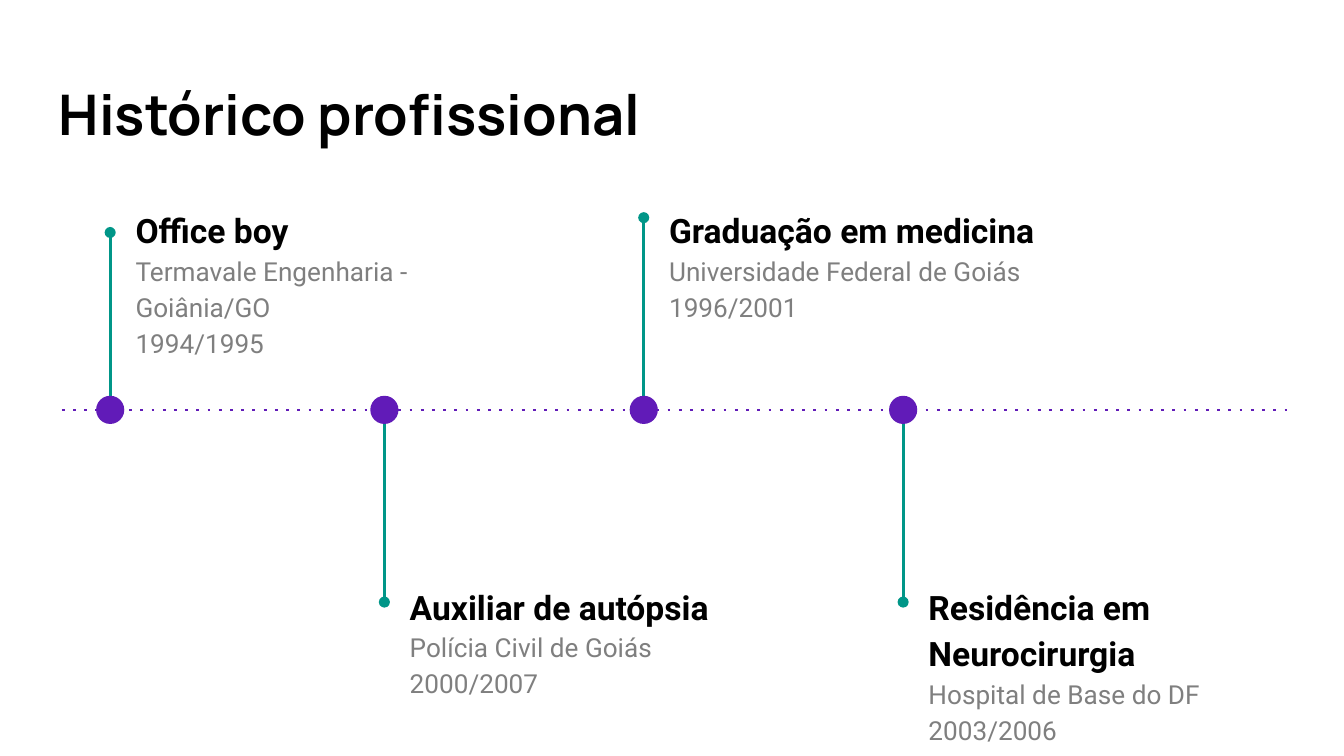
"""Builds the career timeline slide."""
from lxml.etree import SubElement
from pptx import Presentation
from pptx.dml.color import RGBColor
from pptx.enum.shapes import MSO_CONNECTOR, MSO_SHAPE
from pptx.enum.text import MSO_ANCHOR
from pptx.oxml.ns import qn
from pptx.util import Inches, Pt

COLORS = {"title": "000000", "detail": "7F7F7F", "axis": "611BB8", "stem": "009688"}
AXIS_Y, DOT = 3.05, 0.21

prs = Presentation()
prs.slide_width, prs.slide_height = Inches(10), Inches(10 * 9 / 16)
s = prs.slides.add_slide(prs.slide_layouts[6])


def add_text(lines, x, y, w, h, font="Roboto", head_size=18, size=14, spacing=1.15, after=0):
    tf = s.shapes.add_textbox(Inches(x), Inches(y), Inches(w), Inches(h)).text_frame
    tf.word_wrap = True
    tf.vertical_anchor = MSO_ANCHOR.TOP
    tf.margin_left = tf.margin_right = tf.margin_top = tf.margin_bottom = Inches(0.1)
    for i, line in enumerate(lines):
        p = tf.add_paragraph() if i else tf.paragraphs[0]
        p.line_spacing = spacing
        r = p.add_run()
        r.text = line
        r.font.name = font
        r.font.size = Pt(size if i else head_size)
        r.font.bold = i == 0
        r.font.color.rgb = RGBColor.from_string(COLORS["detail" if i else "title"])
    p.space_after = Pt(after)


def add_line(x1, y1, x2, y2, color, tag, **attributes):
    line = s.shapes.add_connector(
        MSO_CONNECTOR.STRAIGHT, Inches(x1), Inches(y1), Inches(x2), Inches(y2))
    line.line.color.rgb = RGBColor.from_string(COLORS[color])
    line.line.width = Pt(1.5)
    SubElement(line.line._get_or_add_ln(), qn(tag), **attributes)
    SubElement(line._element.spPr, qn("a:effectLst"))


add_text(["Histórico profissional"], 0.34, 0.49, 9.32, 0.68,
         font="Manrope", head_size=30, spacing=1)
add_line(0.46, AXIS_Y, 9.58, AXIS_Y, "axis", "a:prstDash", val="dot")

milestones = [
    (0.82, 1.73, 1.42, 3.21, 16,
     ["Office boy", "Termavale Engenharia - Goiânia/GO", "1994/1995"]),
    (2.86, 4.48, 4.22, 2.91, 0,
     ["Auxiliar de autópsia", "Polícia Civil de Goiás", "2000/2007"]),
    (4.79, 1.62, 1.42, 3.32, 0,
     ["Graduação em medicina", "Universidade Federal de Goiás", "1996/2001"]),
    (6.72, 4.48, 4.22, 3.15, 16,
     ["Residência em Neurocirurgia", "Hospital de Base do DF", "2003/2006"]),
]

for x, end_y, text_y, text_w, after, lines in milestones:
    start_y = AXIS_Y + (DOT / 2 if end_y > AXIS_Y else -DOT / 2)
    add_line(x, start_y, x, end_y, "stem", "a:tailEnd", type="oval")

    sp = s.shapes.add_shape(MSO_SHAPE.OVAL, Inches(x - DOT / 2), Inches(AXIS_Y - DOT / 2),
                            Inches(DOT), Inches(DOT))
    sp.shadow.inherit = False
    sp.fill.solid()
    sp.fill.fore_color.rgb = RGBColor.from_string(COLORS["axis"])
    sp.line.fill.background()

    add_text(lines, x + 0.09, text_y, text_w, 1.06, after=after)

prs.save("out.pptx")
